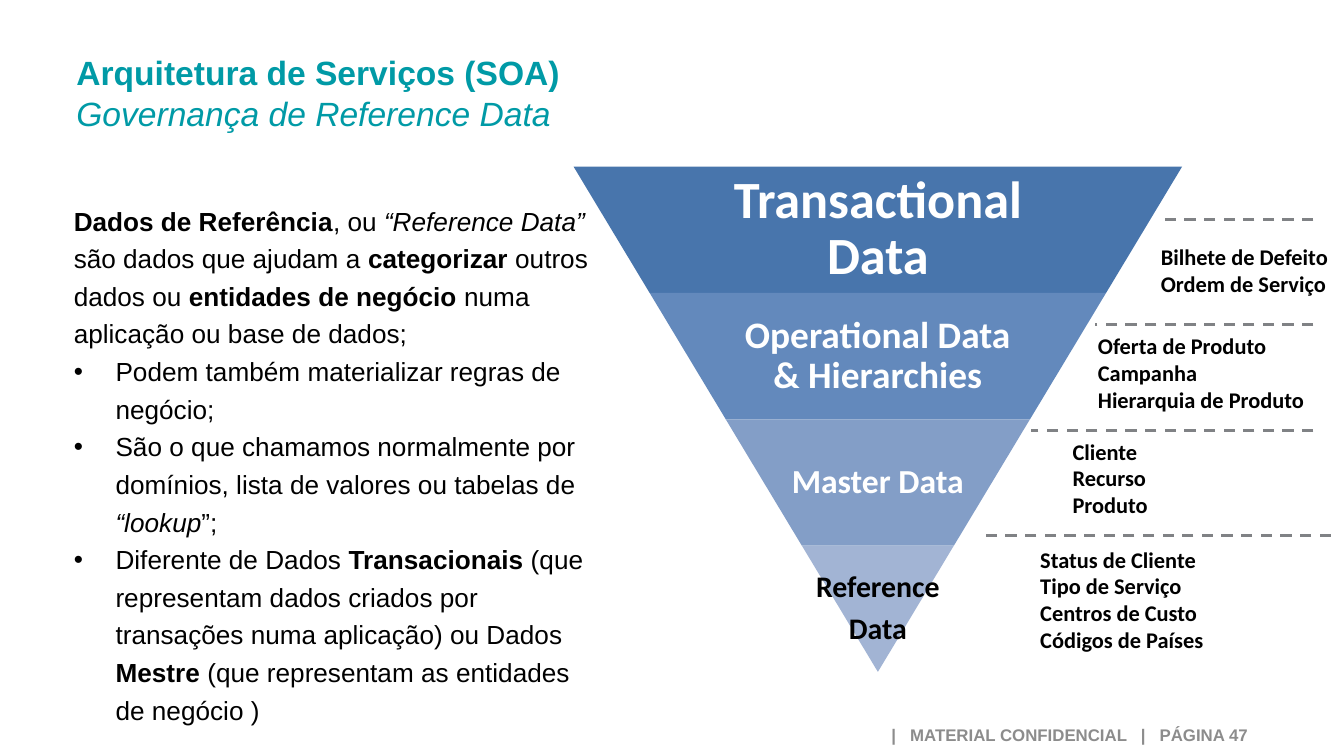
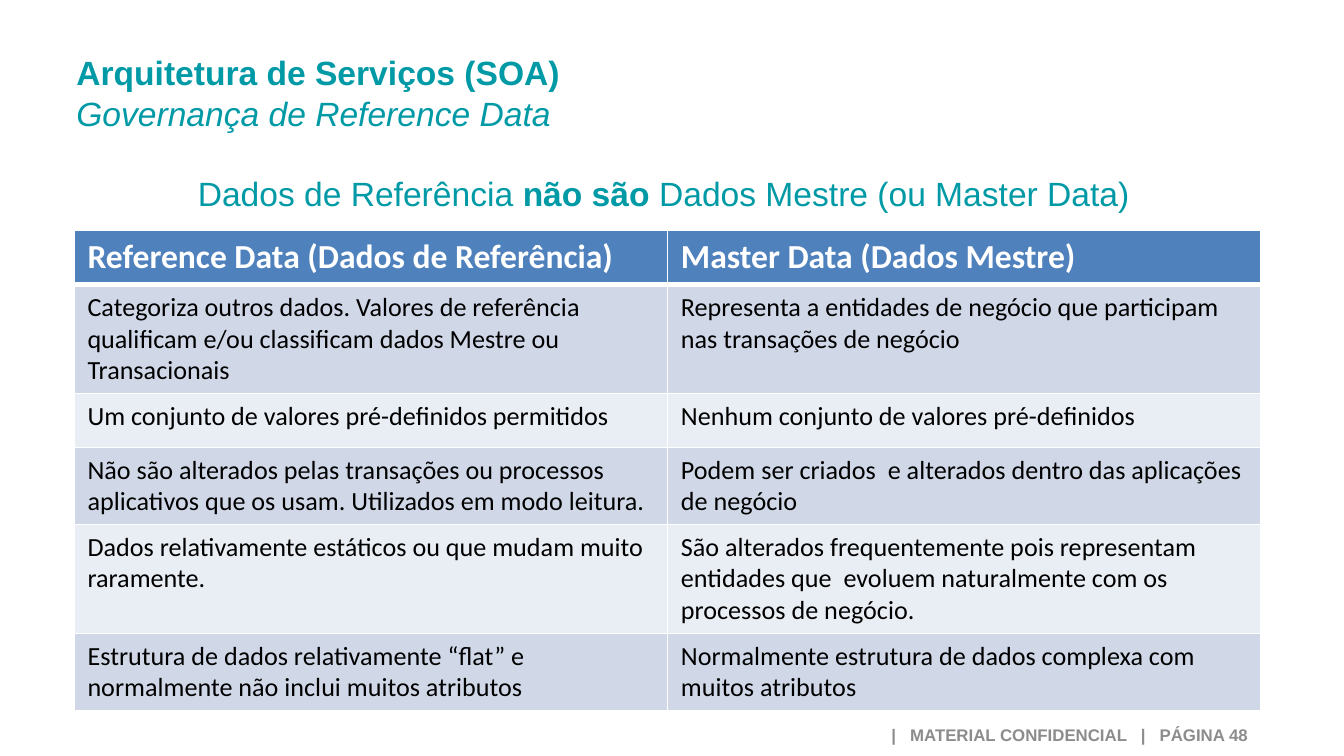
from dataclasses import dataclass

from lxml import etree
from pptx import Presentation
from pptx.dml.color import RGBColor
from pptx.enum.dml import MSO_LINE
from pptx.enum.shapes import MSO_CONNECTOR, MSO_SHAPE
from pptx.enum.text import MSO_ANCHOR, MSO_AUTO_SIZE, PP_ALIGN
from pptx.oxml.ns import qn
from pptx.util import Cm, Pt

LEFT, CENTER, RIGHT = PP_ALIGN.LEFT, PP_ALIGN.CENTER, PP_ALIGN.RIGHT
TOP, MIDDLE = MSO_ANCHOR.TOP, MSO_ANCHOR.MIDDLE
NO_AUTOFIT = MSO_AUTO_SIZE.NONE
TRAPEZOID, STRAIGHT, DASH = MSO_SHAPE.TRAPEZOID, MSO_CONNECTOR.STRAIGHT, MSO_LINE.DASH
TITLE_AND_CONTENT, TITLE_ONLY = 1, 5


@dataclass(frozen=True)
class Theme:
    heading_font: str = "Arial"
    diagram_font: str = "Calibri"
    teal: str = "009AA6"
    black: str = "000000"
    white: str = "FFFFFF"
    footer_grey: str = "8C8C8C"
    divider_grey: str = "808285"
    header_fill: str = "4F81BD"
    band_fills: tuple = ("D0D8E8", "E9EDF4")
    heading_size: int = 18
    body_size: int = 14
    label_size: int = 12
    footer_size: int = 9


@dataclass(frozen=True)
class Box:
    left: float
    top: float
    width: float
    height: float

    def lengths(self):
        return Cm(self.left), Cm(self.top), Cm(self.width), Cm(self.height)


THEME = Theme()
TITLE_BOX = Box(1.19, 0.86, 18.8, 1.8)
FOOTER_BOX = Box(13.11, 13.57, 10.72, 0.72)
BODY_BOX = Box(1.14, 3.63, 10.3, 10.1)
PYRAMID_BOX = Box(10.84, 3.15, 11.5, 9.55)
STATEMENT_BOX = Box(1.19, 3.15, 22.71, 1.02)
TABLE_BOX = Box(1.4, 4.35, 22.43, 8.91)

DEFINITION = [
    [("Dados de Referência", "b"), (", ou ", ""), ("“Reference Data” ", "i"),
     ("são dados que ajudam a ", ""), ("categorizar", "b"), (" outros dados ou ", ""),
     ("entidades de negócio ", "b"), ("numa aplicação ou base de dados;", "")],
    [("Podem também materializar regras de negócio;", "")],
    [("São o que chamamos normalmente por domínios, lista de valores ou tabelas de ", ""),
     ("“lookup", "i"), ("”;", "")],
    [("Diferente de Dados ", ""), ("Transacionais", "b"),
     (" (que representam dados criados por transações numa aplicação) ou Dados ", ""),
     ("Mestre", "b"), (" (que representam as entidades de negócio )", "")],
]
LEVELS = [
    (["Transactional Data"], 28, "4875AC", THEME.white, 0.65),
    (["Operational Data & Hierarchies"], 20, "6389BC", THEME.white, 0.65),
    (["Master Data"], 18, "839EC7", THEME.white, 0.65),
    (["Reference", "Data"], 16, "A2B4D4", THEME.black, 1),
]
EXAMPLES = [
    (Box(21.69, 4.47, 3.71, 1.27), ["Bilhete de Defeito", "Ordem de Serviço"]),
    (Box(20.5, 6.15, 4.9, 1.8), ["Oferta de Produto", "Campanha", "Hierarquia de Produto"]),
    (Box(20.02, 8.15, 4.29, 1.8), ["Cliente", "Recurso", "Produto"]),
    (Box(19.41, 10.19, 4.29, 2.31),
     ["Status de Cliente", "Tipo de Serviço", "Centros de Custo", "Códigos de Países"]),
]
DIVIDER_TOP, DIVIDER_STEP = 4.15, 1.99
DIVIDER_SPANS = [(24.82, 21.87), (24.82, 20.7), (24.82, 19.48), (25.15, 18.52)]
STATEMENT = [("Dados de Referência ", ""), ("não são", "b"),
             (" Dados Mestre (ou Master Data)", "")]
COMPARISON = [
    (1.03, "Reference Data (Dados de Referência)", "Master Data (Dados Mestre)"),
    (1.98, "Categoriza outros dados. Valores de referência qualificam e/ou classificam "
     "dados Mestre ou Transacionais",
     "Representa a entidades de negócio que participam nas transações de negócio"),
    (1.02, "Um conjunto de valores pré-definidos permitidos",
     "Nenhum conjunto de valores pré-definidos"),
    (1.43, "Não são alterados pelas transações ou processos aplicativos que os usam. "
     "Utilizados em modo leitura.",
     "Podem ser criados  e alterados dentro das aplicações de negócio"),
    (2.02, "Dados relativamente estáticos ou que mudam muito raramente.",
     "São alterados frequentemente pois representam entidades que  evoluem "
     "naturalmente com os processos de negócio."),
    (1.43, "Estrutura de dados relativamente “flat” e normalmente não inclui muitos atributos",
     "Normalmente estrutura de dados complexa com muitos atributos"),
]


def rgb(color):
    return RGBColor.from_string(color)


def write(paragraph, text, size=THEME.heading_size, font=THEME.heading_font,
          color=THEME.black, bold=False, italic=False, tracking=0):
    run = paragraph.add_run()
    run.text = text
    run.font.size = Pt(size)
    run.font.name = font
    run.font.bold = bold
    run.font.italic = italic
    run.font.color.rgb = rgb(color)
    if tracking:
        run.font._element.set("spc", str(tracking))


def write_styled(paragraph, pieces, **text_format):
    for text, style in pieces:
        write(paragraph, text, bold=style == "b", italic=style == "i", **text_format)


def prepare_frame(shape, anchor=TOP, margin=None):
    frame = shape.text_frame
    frame.word_wrap = True
    frame.auto_size = NO_AUTOFIT
    frame.vertical_anchor = anchor
    if margin is not None:
        frame.margin_left = frame.margin_right = Cm(margin)
        frame.margin_top = frame.margin_bottom = Cm(margin)
    return frame


def add_text_frame(shapes, box, **frame_format):
    return prepare_frame(shapes.add_textbox(*box.lengths()), **frame_format)


def place(shape, box):
    shape.left, shape.top, shape.width, shape.height = box.lengths()


def add_paragraphs(frame, count):
    return [frame.paragraphs[0]] + [frame.add_paragraph() for _ in range(count - 1)]


def set_bullet(paragraph, character=None, indent=0):
    properties = paragraph._p.get_or_add_pPr()
    properties.set("marL", str(Cm(indent)))
    properties.set("indent", str(-Cm(indent)))
    if character:
        etree.SubElement(properties, qn("a:buChar")).set("char", character)
    else:
        etree.SubElement(properties, qn("a:buNone"))


def fill_title(slide):
    title = slide.shapes.title
    place(title, TITLE_BOX)
    paragraph = prepare_frame(title).paragraphs[0]
    paragraph.alignment = LEFT
    write(paragraph, "Arquitetura de Serviços (SOA)", color=THEME.teal, bold=True)
    paragraph.add_line_break()
    write(paragraph, "Governança de Reference Data", color=THEME.teal, italic=True)


def add_footer(slide, page):
    paragraph = add_text_frame(slide.shapes, FOOTER_BOX, anchor=MIDDLE).paragraphs[0]
    paragraph.alignment = RIGHT
    paragraph.line_spacing = 0.8
    for text, tracking in [("|", 0), (" ", 500), ("MATERIAL CONFIDENCIAL", 0), (" ", 500),
                           ("|", 0), (" ", 500), (f"PÁGINA {page}", 0)]:
        write(paragraph, text, size=THEME.footer_size, color=THEME.footer_grey,
              bold=True, tracking=tracking)


def add_slide(presentation, layout, page):
    slide = presentation.slides.add_slide(presentation.slide_layouts[layout])
    fill_title(slide)
    add_footer(slide, page)
    return slide


def fill_definition(body, box):
    place(body, box)
    paragraphs = add_paragraphs(prepare_frame(body), len(DEFINITION))
    for index, (paragraph, pieces) in enumerate(zip(paragraphs, DEFINITION)):
        if index:
            set_bullet(paragraph, "•", 0.79)
        else:
            set_bullet(paragraph)
        paragraph.alignment = LEFT
        paragraph.line_spacing = 1.2
        paragraph.space_before = Pt(0)
        write_styled(paragraph, pieces, size=THEME.body_size)


def add_pyramid(slide, box):
    group = slide.shapes.add_group_shape()
    height = box.height / len(LEVELS)
    inset = box.width / 2 / len(LEVELS)
    for index, (lines, size, fill, color, share) in enumerate(LEVELS):
        left, top = box.left + index * inset, box.top + index * height
        width = box.width - 2 * index * inset
        level = group.shapes.add_shape(TRAPEZOID, *Box(left, top, width, height).lengths())
        level.rotation = 180
        level.adjustments[0] = inset / height
        level.shadow.inherit = False
        level.fill.solid()
        level.fill.fore_color.rgb = rgb(fill)
        level.line.fill.background()
        label_box = Box(left + width * (1 - share) / 2, top, width * share, height)
        frame = add_text_frame(group.shapes, label_box, anchor=MIDDLE, margin=0.08)
        for paragraph, line in zip(add_paragraphs(frame, len(lines)), lines):
            paragraph.alignment = CENTER
            paragraph.line_spacing = 0.9
            paragraph.space_after = Pt(round(size * 0.35, 1))
            write(paragraph, line, size=size, font=THEME.diagram_font, color=color, bold=True)


def add_dividers(slide):
    for index, (start, end) in enumerate(DIVIDER_SPANS):
        height = Cm(DIVIDER_TOP + index * DIVIDER_STEP)
        divider = slide.shapes.add_connector(STRAIGHT, Cm(start), height, Cm(end), height)
        divider.line.color.rgb = rgb(THEME.divider_grey)
        divider.line.width = Pt(1.5)
        divider.line.dash_style = DASH
        etree.SubElement(divider._element.spPr, qn("a:effectLst"))


def add_examples(slide):
    for box, lines in EXAMPLES:
        frame = add_text_frame(slide.shapes, box)
        for paragraph, line in zip(add_paragraphs(frame, len(lines)), lines):
            write(paragraph, line, size=THEME.label_size, font=THEME.diagram_font, bold=True)


def set_borders(cell, top, bottom):
    properties = cell._tc.get_or_add_tcPr()
    for side, points in [("L", 1), ("R", 1), ("T", top), ("B", bottom)]:
        border = etree.SubElement(properties, qn(f"a:ln{side}"), w=str(Pt(points)))
        fill = etree.SubElement(border, qn("a:solidFill"))
        etree.SubElement(fill, qn("a:srgbClr"), val=THEME.white)


def add_comparison(slide, box):
    table = slide.shapes.add_table(len(COMPARISON), 2, *box.lengths()).table
    for row_index, (height, *texts) in enumerate(COMPARISON):
        header = row_index == 0
        table.rows[row_index].height = Cm(height)
        for cell, text in zip(table.rows[row_index].cells, texts):
            set_borders(cell, top=3 if row_index == 1 else 1, bottom=3 if header else 1)
            cell.fill.solid()
            cell.fill.fore_color.rgb = rgb(
                THEME.header_fill if header else THEME.band_fills[(row_index - 1) % 2])
            write(cell.text_frame.paragraphs[0], text, font=THEME.diagram_font, bold=header,
                  size=THEME.heading_size if header else THEME.body_size,
                  color=THEME.white if header else THEME.black)


def add_statement(slide, box):
    paragraph = add_text_frame(slide.shapes, box).paragraphs[0]
    paragraph.alignment = CENTER
    write_styled(paragraph, STATEMENT, color=THEME.teal)


def build_pyramid_slide(presentation):
    slide = add_slide(presentation, TITLE_AND_CONTENT, 47)
    add_pyramid(slide, PYRAMID_BOX)
    body = slide.placeholders[1]
    fill_definition(body, BODY_BOX)
    slide.shapes._spTree.append(body._element)
    add_dividers(slide)
    add_examples(slide)


def build_comparison_slide(presentation):
    slide = add_slide(presentation, TITLE_ONLY, 48)
    add_statement(slide, STATEMENT_BOX)
    add_comparison(slide, TABLE_BOX)


def main():
    presentation = Presentation()
    presentation.slide_width = Cm(25.4)
    presentation.slide_height = Cm(14.29)
    build_pyramid_slide(presentation)
    build_comparison_slide(presentation)
    presentation.save("out.pptx")


if __name__ == "__main__":
    main()
